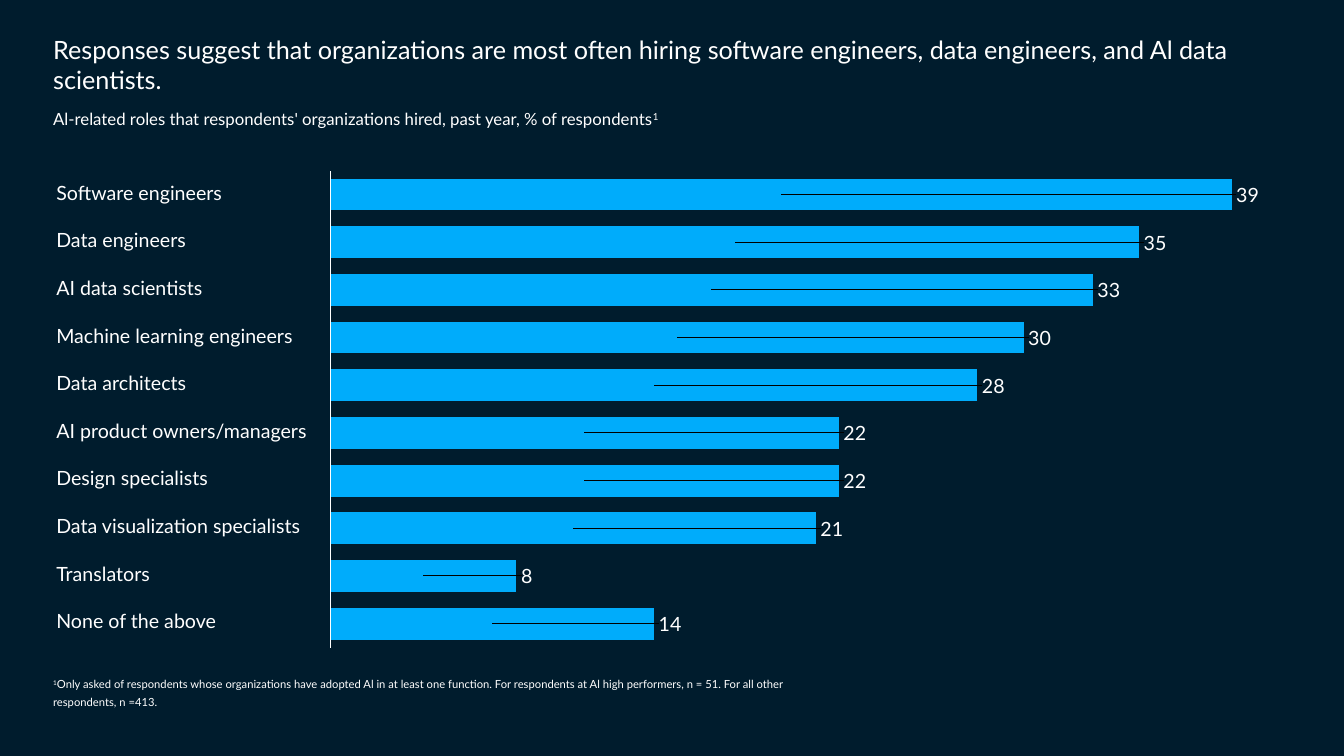
"""Build a slide with a bar chart of the AI-related roles that organizations hired."""
from lxml.etree import SubElement
from pptx import Presentation
from pptx.chart.data import CategoryChartData
from pptx.dml.color import RGBColor
from pptx.enum.chart import XL_CHART_TYPE as CT, XL_TICK_LABEL_POSITION as TLP, XL_TICK_MARK as TM
from pptx.enum.text import MSO_ANCHOR as MA, MSO_AUTO_SIZE as AS, PP_ALIGN as PA
from pptx.oxml.ns import qn
from pptx.util import Cm, Pt

WHITE, BLUE, NAVY = "FFFFFF", "00ACFB", "001C2D"
ROLES = [
    ("Software engineers", 39), ("Data engineers", 35), ("AI data scientists", 33),
    ("Machine learning engineers", 30), ("Data architects", 28),
    ("AI product owners/managers", 22), ("Design specialists", 22),
    ("Data visualization specialists", 21), ("Translators", 8), ("None of the above", 14),
]
MAX, PLOT_W = 39, 0.955


def paint(color, value):
    color.rgb = RGBColor.from_string(value)


def write(sp, box, runs, size, inset=(0.25, 0.13), anchor=MA.TOP, spacing=1.0):
    sp.left, sp.top, sp.width, sp.height = [Cm(v) for v in box]
    tf = sp.text_frame
    x, y = [Cm(v) for v in inset]
    fmt = {"word_wrap": True, "auto_size": AS.NONE, "vertical_anchor": anchor,
           "margin_left": x, "margin_right": x, "margin_top": y, "margin_bottom": y}
    for name, value in fmt.items():
        setattr(tf, name, value)
    p = tf.paragraphs[0]
    p.alignment, p.line_spacing = PA.LEFT, spacing
    for text, raised in runs:
        r = p.add_run()
        r.text = text
        r.font.name, r.font.size = "Lato", Pt(size)
        paint(r.font.color, WHITE)
        if raised:
            r.font._element.set("baseline", "30000")


prs = Presentation()
prs.slide_width, prs.slide_height = Cm(33.87), Cm(19.05)
s = prs.slides.add_slide(prs.slide_layouts[5])
s.background.fill.solid()
paint(s.background.fill.fore_color, NAVY)

write(s.shapes.title, (1.09, 0.74, 31.04, 1.8), [
    ("Responses suggest that organizations are most often hiring software engineers, "
     "data engineers, and Al data scientists.", False)], 18)
subtitle = s.shapes.add_textbox(0, 0, 0, 0)
write(subtitle, (1.09, 2.62, 20.9, 0.76), [
    ("Al-related roles that respondents' organizations hired, past year, % of respondents", False),
    ("1", True)], 12)
footnote = s.shapes.add_textbox(0, 0, 0, 0)
write(footnote, (1.09, 16.82, 19.43, 1.2), [
    ("1", True),
    ("Only asked of respondents whose organizations have adopted Al in at least one function. "
     "For respondents at Al high performers, n = 51. For all other respondents, n =413.", False),
], 8, spacing=Pt(13))

data = CategoryChartData()
data.categories = [str(i + 1) for i in range(len(ROLES))]
data.add_series("Series 1", [value for _, value in ROLES])
chart = s.shapes.add_chart(CT.BAR_STACKED, Cm(8.1), Cm(3.45), Cm(23.77), Cm(13.72), data).chart
chart.has_legend = chart.has_title = False
chart.font.name, chart.font.size = "Lato", Pt(14)
paint(chart.font.color, WHITE)

cat, val, plot = chart.category_axis, chart.value_axis, chart.plots[0]
formats = [
    (cat, {"reverse_order": True, "tick_label_position": TLP.NONE, "has_major_gridlines": False,
           "major_tick_mark": TM.NONE, "minor_tick_mark": TM.NONE}),
    (val, {"minimum_scale": 0, "maximum_scale": MAX, "has_major_gridlines": False,
           "visible": False}),
    (plot, {"gap_width": 50, "overlap": 100, "vary_by_categories": False}),
]
for item, fmt in formats:
    for name, value in fmt.items():
        setattr(item, name, value)
cat.format.line.width = Pt(0.75)
paint(cat.format.line.color, WHITE)
bars = plot.series[0]
bars.format.fill.solid()
paint(bars.format.fill.fore_color, BLUE)

for i, (role, value) in enumerate(ROLES):
    label = s.shapes.add_textbox(0, 0, 0, 0)
    write(label, (1.42, 4.62 + 1.2 * i, 6.6, 0.53), [(role, False)], 14,
          inset=(0, 0), anchor=MA.MIDDLE, spacing=0.9)
    font = bars.points[i].data_label.font
    font.name, font.size = "Lato", Pt(14)
    paint(font.color, WHITE)

area = next(chart.element.iter(qn("c:plotArea")))
for old in area.findall(qn("c:layout")):
    area.remove(old)
layouts = [(area, 0, {"layoutTarget": "inner", "xMode": "edge", "yMode": "edge",
                      "x": 0.01, "y": 0.062, "w": PLOT_W, "h": 0.876})]
for dl, (_, value) in zip(chart.element.iter(qn("c:dLbl")), ROLES):
    shift = PLOT_W * value / MAX / 2 + (0.017 if value > 9 else 0.012)
    layouts.append((dl, 1, {"x": round(shift, 4), "y": 0}))
for parent, index, fmt in layouts:
    layout = SubElement(parent, qn("c:layout"))
    manual = SubElement(layout, qn("c:manualLayout"))
    for name, value in fmt.items():
        SubElement(manual, qn("c:" + name)).set("val", str(value))
    parent.insert(index, layout)

prs.save("out.pptx")
